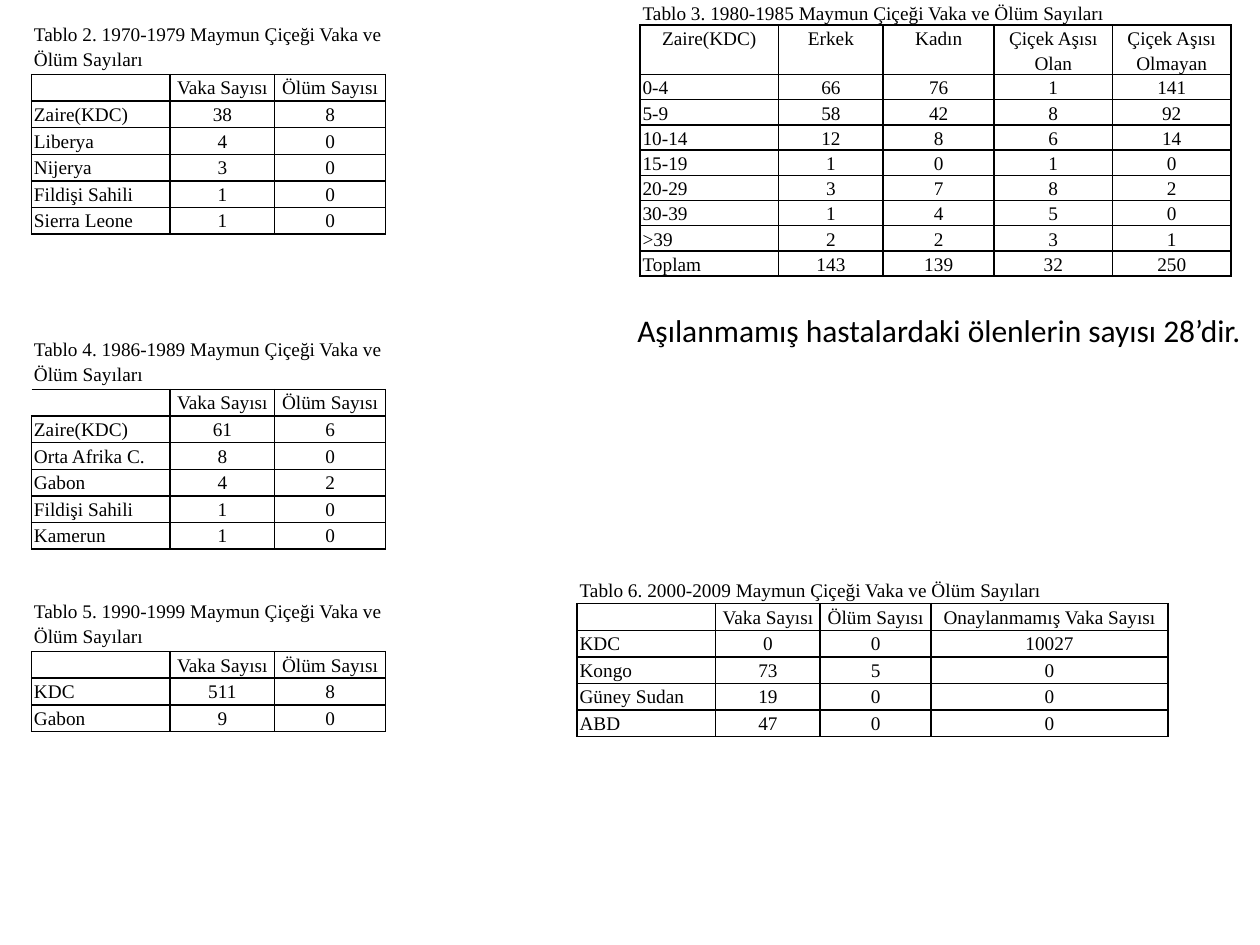
from dataclasses import dataclass

from lxml.etree import SubElement
from pptx import Presentation
from pptx.dml.color import RGBColor
from pptx.enum.text import MSO_AUTO_SIZE as AutoSize, PP_ALIGN as Align
from pptx.oxml import parse_xml
from pptx.oxml.ns import nsdecls, qn
from pptx.util import Inches, Pt

BLACK = "000000"
TABLE_FONT = {"name": "Times New Roman", "size": Pt(11), "bold": False}
NOTE_FONT = {"name": "Calibri", "size": Pt(18)}
CELL_MARGINS = {
    "margin_left": Inches(0.02),
    "margin_right": Inches(0.02),
    "margin_top": 0,
    "margin_bottom": 0,
}
PLAIN_STYLE = {"first_row": False, "horz_banding": False}
COUNT_HEADER = ["", "Vaka Sayısı", "Ölüm Sayısı"]
COUNT_WIDTHS = [1.1, 0.83, 0.88]


@dataclass
class CaseTable:
    title: str
    left: float
    top: float
    widths: list[float]
    rows: list[list[str]]
    title_height: float = 0.42
    header_height: float = 0.21
    row_height: float = 0.21
    open_corner: bool = False


CASE_TABLES = [
    CaseTable(
        "Tablo 3. 1980-1985 Maymun Çiçeği Vaka ve Ölüm Sayıları",
        5.08, 0, [1.1, 0.83, 0.88, 0.94, 0.94],
        [
            ["Zaire(KDC)", "Erkek", "Kadın", "Çiçek Aşısı Olan", "Çiçek Aşısı Olmayan"],
            ["0-4", "66", "76", "1", "141"],
            ["5-9", "58", "42", "8", "92"],
            ["10-14", "12", "8", "6", "14"],
            ["15-19", "1", "0", "1", "0"],
            ["20-29", "3", "7", "8", "2"],
            ["30-39", "1", "4", "5", "0"],
            [">39", "2", "2", "3", "1"],
            ["Toplam", "143", "139", "32", "250"],
        ],
        title_height=0.2, header_height=0.39, row_height=0.2,
    ),
    CaseTable(
        "Tablo 2. 1970-1979 Maymun Çiçeği Vaka ve Ölüm Sayıları",
        0.25, 0.17, COUNT_WIDTHS,
        [
            COUNT_HEADER,
            ["Zaire(KDC)", "38", "8"],
            ["Liberya", "4", "0"],
            ["Nijerya", "3", "0"],
            ["Fildişi Sahili", "1", "0"],
            ["Sierra Leone", "1", "0"],
        ],
    ),
    CaseTable(
        "Tablo 4. 1986-1989 Maymun Çiçeği Vaka ve Ölüm Sayıları",
        0.25, 2.67, COUNT_WIDTHS,
        [
            COUNT_HEADER,
            ["Zaire(KDC)", "61", "6"],
            ["Orta Afrika C.", "8", "0"],
            ["Gabon", "4", "2"],
            ["Fildişi Sahili", "1", "0"],
            ["Kamerun", "1", "0"],
        ],
        open_corner=True,
    ),
    CaseTable(
        "Tablo 5. 1990-1999 Maymun Çiçeği Vaka ve Ölüm Sayıları",
        0.25, 4.75, COUNT_WIDTHS,
        [COUNT_HEADER, ["KDC", "511", "8"], ["Gabon", "9", "0"]],
    ),
    CaseTable(
        "Tablo 6. 2000-2009 Maymun Çiçeği Vaka ve Ölüm Sayıları",
        4.58, 4.58, [*COUNT_WIDTHS, 1.88],
        [
            [*COUNT_HEADER, "Onaylanmamış Vaka Sayısı"],
            ["KDC", "0", "0", "10027"],
            ["Kongo", "73", "5", "0"],
            ["Güney Sudan", "19", "0", "0"],
            ["ABD", "47", "0", "0"],
        ],
        title_height=0.21,
    ),
]


def apply_format(target, values: dict) -> None:
    for name, value in values.items():
        setattr(target, name, value)


def color(hex_value: str) -> RGBColor:
    return RGBColor.from_string(hex_value)


def write_run(paragraph, text: str, font: dict) -> None:
    run = paragraph.add_run()
    run.text = text
    apply_format(run.font, font)
    run.font.color.rgb = color(BLACK)


def draw_borders(cell, sides: str) -> None:
    properties = cell._tc.get_or_add_tcPr()
    for index, side in enumerate("LRTB"):
        paint = "<a:noFill/>"
        if side in sides:
            paint = f'<a:solidFill><a:srgbClr val="{BLACK}"/></a:solidFill>'
        line = f'<a:ln{side} {nsdecls("a")} w="{Pt(1)}">{paint}</a:ln{side}>'
        properties.insert(index, parse_xml(line))


def fill_cell(cell, text: str, align: Align, sides: str) -> None:
    apply_format(cell, CELL_MARGINS)
    cell.fill.background()
    draw_borders(cell, sides)
    paragraph = cell.text_frame.paragraphs[0]
    apply_format(paragraph, {"alignment": align, "line_spacing": 1.15})
    if text:
        write_run(paragraph, text, TABLE_FONT)
    else:
        SubElement(paragraph._p, qn("a:endParaRPr"), sz="1100")


def draw_case_table(slide, case_table: CaseTable) -> None:
    columns = len(case_table.widths)
    heights = [case_table.title_height, case_table.header_height]
    heights += [case_table.row_height] * (len(case_table.rows) - 1)
    table = slide.shapes.add_table(
        len(heights), columns,
        Inches(case_table.left), Inches(case_table.top),
        Inches(sum(case_table.widths)), Inches(sum(heights)),
    ).table
    apply_format(table, PLAIN_STYLE)
    for column, width in zip(table.columns, case_table.widths):
        column.width = Inches(width)
    for row, height in zip(table.rows, heights):
        row.height = Inches(height)
    for index in range(columns):
        title = "" if index else case_table.title
        fill_cell(table.cell(0, index), title, Align.LEFT, "B")
    table.cell(0, 0).merge(table.cell(0, columns - 1))
    for row_index, texts in enumerate(case_table.rows, 1):
        for index, text in enumerate(texts):
            centered = index > 0 or row_index == 1
            corner = case_table.open_corner and (row_index, index) == (1, 0)
            fill_cell(
                table.cell(row_index, index), text,
                Align.CENTER if centered else Align.LEFT,
                "RTB" if corner else "LRTB",
            )


def draw_note(slide, text: str) -> None:
    box = slide.shapes.add_textbox(Inches(4.96), Inches(2.42), Inches(5.04), Inches(0.4))
    frame = box.text_frame
    apply_format(frame, {"word_wrap": False, "auto_size": AutoSize.SHAPE_TO_FIT_TEXT})
    write_run(frame.paragraphs[0], text, NOTE_FONT)


def main() -> None:
    presentation = Presentation()
    presentation.slide_width = Inches(10)
    presentation.slide_height = Inches(7.5)
    slide = presentation.slides.add_slide(presentation.slide_layouts[6])
    first, *others = CASE_TABLES
    draw_case_table(slide, first)
    draw_note(slide, "Aşılanmamış hastalardaki ölenlerin sayısı 28’dir.")
    for case_table in others:
        draw_case_table(slide, case_table)
    presentation.save("out.pptx")


if __name__ == "__main__":
    main()
